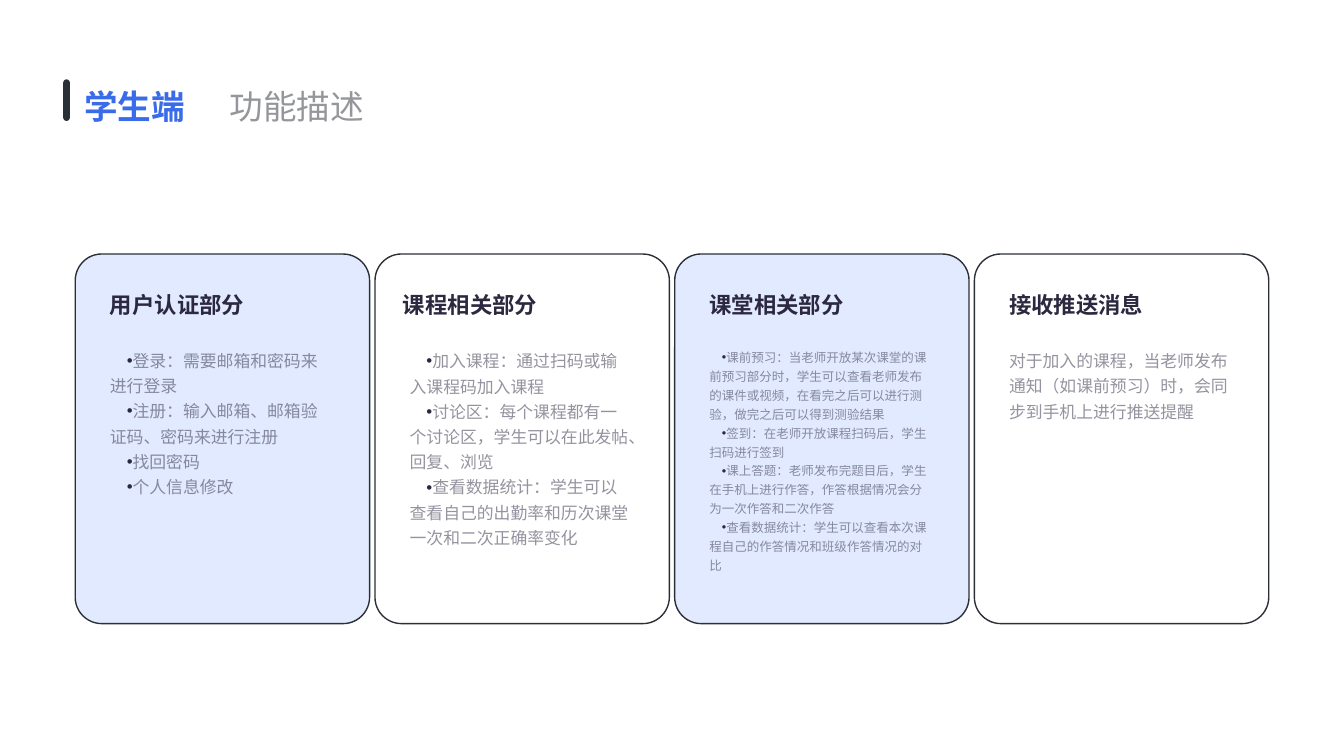
import dataclasses

import lxml.etree
import pptx
import pptx.dml.color
import pptx.enum.lang
import pptx.enum.shapes
import pptx.enum.text
import pptx.oxml.ns
import pptx.util


@dataclasses.dataclass(frozen=True)
class Theme:
    font: str = "Arial"
    accent: str = "3A6CEA"
    dark: str = "2B2F36"
    ink: str = "2C2840"
    tint: str = "E1EAFF"
    white: str = "FFFFFF"
    title_size: float = 18
    heading_size: float = 12
    body_size: float = 9
    dense_size: float = 6.75
    faded: int = 50
    line_spacing: float = 1.25
    inset: float = 0.1


@dataclasses.dataclass(frozen=True)
class Box:
    left: float
    top: float
    width: float
    height: float

    def lengths(self):
        return [pptx.util.Inches(value) for value in dataclasses.astuple(self)]

    def inner(self, left, top, width, height):
        return Box(self.left + left, self.top + top, width, height)


@dataclasses.dataclass(frozen=True)
class Card:
    heading: str
    paragraphs: tuple
    body_height: float
    size: float = Theme.body_size
    bullets: bool = True
    heading_left: float = 0.16


THEME = Theme()
CARDS = (
    Card("用户认证部分", (
        "登录：需要邮箱和密码来进行登录",
        "注册：输入邮箱、邮箱验证码、密码来进行注册",
        "找回密码",
        "个人信息修改",
    ), 1.33),
    Card("课程相关部分", (
        "加入课程：通过扫码或输入课程码加入课程",
        "讨论区：每个课程都有一个讨论区，学生可以在此发帖、回复、浏览",
        "查看数据统计：学生可以查看自己的出勤率和历次课堂一次和二次正确率变化",
    ), 1.71, heading_left=0.11),
    Card("课堂相关部分", (
        "课前预习：当老师开放某次课堂的课前预习部分时，学生可以查看老师发布的课件或视频，"
        "在看完之后可以进行测验，做完之后可以得到测验结果",
        "签到：在老师开放课程扫码后，学生扫码进行签到",
        "课上答题：老师发布完题目后，学生在手机上进行作答，作答根据情况会分为一次作答和二次作答",
        "查看数据统计：学生可以查看本次课程自己的作答情况和班级作答情况的对比",
    ), 1.9, size=THEME.dense_size),
    Card("接收推送消息", (
        "对于加入的课程，当老师发布通知（如课前预习）时，会同步到手机上进行推送提醒",
    ), 0.77, bullets=False),
)


def rgb(color):
    return pptx.dml.color.RGBColor.from_string(color)


def add_child(parent, tag, **attributes):
    return lxml.etree.SubElement(parent, pptx.oxml.ns.qn(tag), attributes)


def add_bullet(paragraph, size):
    """Put the bullet on an indented first line; later lines start at the margin."""
    properties = paragraph._p.get_or_add_pPr()
    properties.set("marL", "0")
    properties.set("indent", str(pptx.util.Pt(size)))
    bullet_color = add_child(properties, "a:buClr")
    add_child(bullet_color, "a:srgbClr", val=THEME.ink)
    add_child(properties, "a:buFont", typeface=THEME.font)
    add_child(properties, "a:buChar", char="•")


def add_text(slide, box, paragraphs, *, size, color, bold=False, opacity=100, bullets=False):
    frame = slide.shapes.add_textbox(*box.lengths()).text_frame
    frame.word_wrap = True
    frame.vertical_anchor = pptx.enum.text.MSO_ANCHOR.MIDDLE
    inset = pptx.util.Inches(THEME.inset)
    frame.margin_left = frame.margin_right = inset
    frame.margin_top = frame.margin_bottom = inset
    for index, text in enumerate(paragraphs):
        paragraph = frame.add_paragraph() if index else frame.paragraphs[0]
        paragraph.line_spacing = THEME.line_spacing
        if bullets:
            add_bullet(paragraph, size)
        run = paragraph.add_run()
        run.text = text
        font = run.font
        font.name = THEME.font
        font.size = pptx.util.Pt(size)
        font.bold = bold
        font.language_id = pptx.enum.lang.MSO_LANGUAGE_ID.SIMPLIFIED_CHINESE
        font.color.rgb = rgb(color)
        properties = run._r.get_or_add_rPr()
        add_child(properties, "a:ea", typeface=THEME.font)
        if opacity < 100:
            color_element = properties.find(".//" + pptx.oxml.ns.qn("a:srgbClr"))
            add_child(color_element, "a:alpha", val=str(opacity * 1000))


def add_rounded_box(slide, box, fill, roundness, line=None):
    kind = pptx.enum.shapes.MSO_SHAPE.ROUNDED_RECTANGLE
    shape = slide.shapes.add_shape(kind, *box.lengths())
    shape.shadow.inherit = False
    shape.adjustments[0] = roundness
    shape.fill.solid()
    shape.fill.fore_color.rgb = rgb(fill)
    if line:
        shape.line.color.rgb = rgb(line)
        shape.line.width = pptx.util.Pt(0.75)
    else:
        shape.line.fill.background()


def add_title(slide, box):
    add_rounded_box(slide, box.inner(0, 0.14, 0.05, 0.31), THEME.dark, 0.5)
    add_text(slide, box.inner(0.06, 0.01, 1.23, box.height), ["学生端"],
             size=THEME.title_size, color=THEME.accent, bold=True)
    add_text(slide, box.inner(1.14, 0.01, 3.15, box.height), ["功能描述"],
             size=THEME.title_size, color=THEME.dark, opacity=THEME.faded)


def add_card(slide, box, card, fill):
    text_width = 1.86
    add_rounded_box(slide, box, fill, 0.09, line=THEME.dark)
    add_text(slide, box.inner(card.heading_left, 0.12, text_width, 0.46), [card.heading],
             size=THEME.heading_size, color=THEME.ink, bold=True)
    add_text(slide, box.inner(0.16, 0.58, text_width, card.body_height), card.paragraphs,
             size=card.size, color=THEME.ink, opacity=THEME.faded, bullets=card.bullets)


def add_card_row(slide, box, gap):
    width = (box.width - gap * (len(CARDS) - 1)) / len(CARDS)
    for column, card in enumerate(CARDS):
        card_box = box.inner(column * (width + gap), 0, width, box.height)
        add_card(slide, card_box, card, THEME.white if column % 2 else THEME.tint)


def main():
    presentation = pptx.Presentation()
    presentation.slide_width = pptx.util.Inches(10)
    presentation.slide_height = presentation.slide_width * 9 // 16
    slide = presentation.slides.add_slide(presentation.slide_layouts[6])
    add_title(slide, Box(0.47, 0.45, 4.28, 0.58))
    add_card_row(slide, Box(0.56, 1.89, 8.88, 2.75), gap=0.04)
    presentation.save("out.pptx")


if __name__ == "__main__":
    main()
